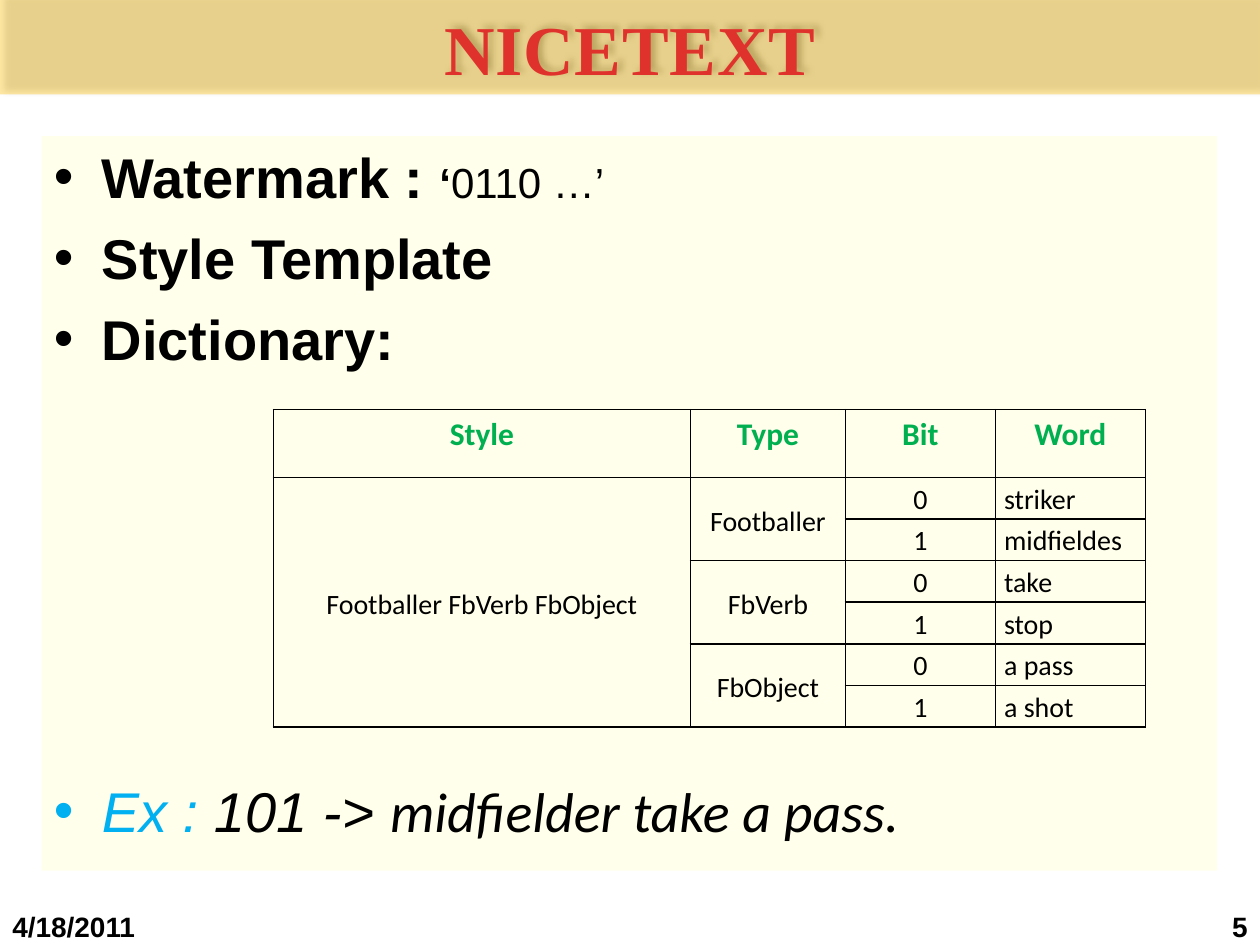
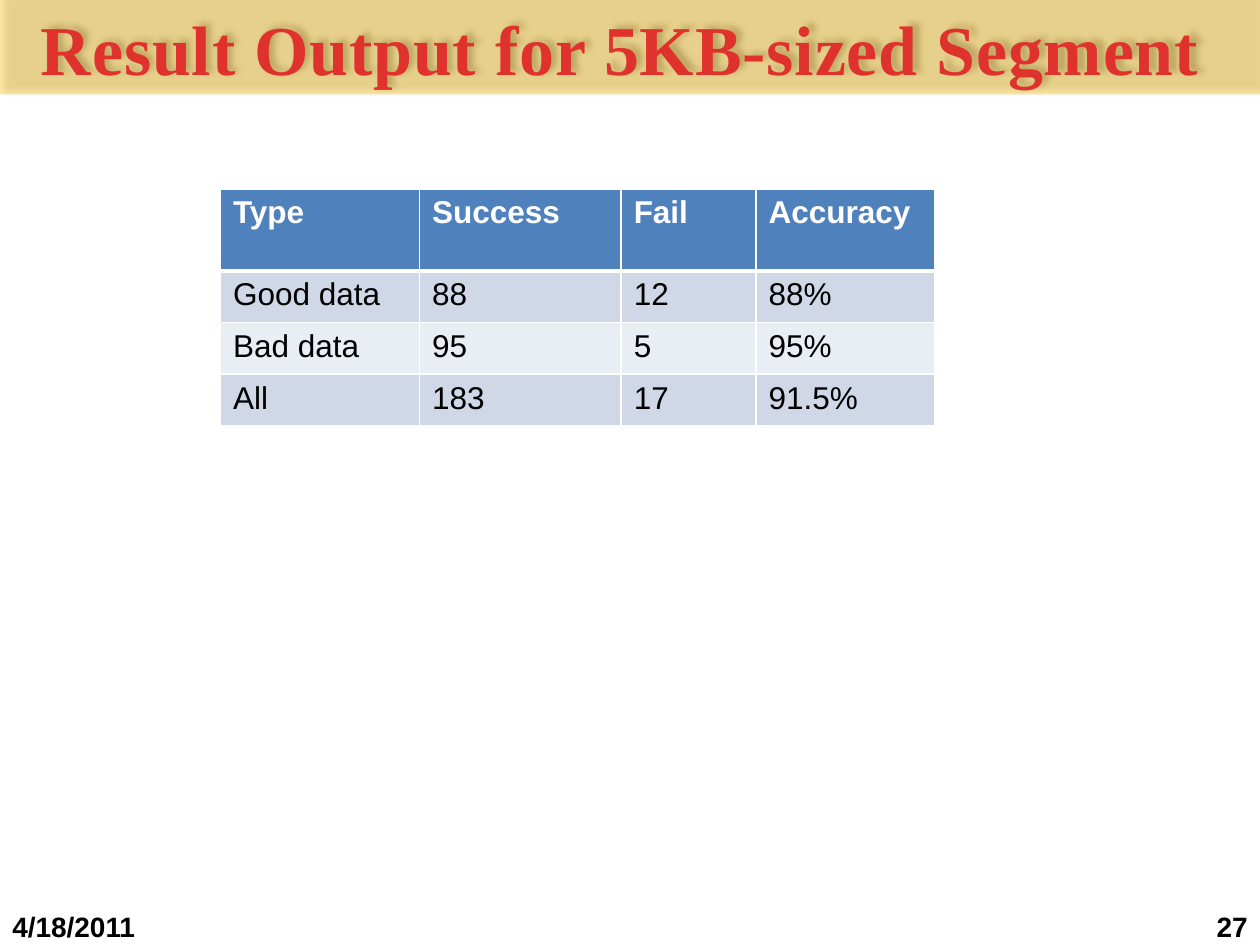
from dataclasses import dataclass
from typing import NamedTuple

from lxml import etree
from pptx import Presentation
from pptx.dml.color import RGBColor
from pptx.enum import shapes, text
from pptx.oxml import ns
from pptx.util import Inches, Pt

BLACK = RGBColor(0x00, 0x00, 0x00)
WHITE = RGBColor(0xFF, 0xFF, 0xFF)
RED = RGBColor(0xE0, 0x32, 0x2D)
GOLD = RGBColor(0xFF, 0xC0, 0x00)
YELLOW = RGBColor(0xFF, 0xFF, 0x00)
GREEN = RGBColor(0x00, 0xB0, 0x50)
SKY = RGBColor(0x00, 0xB0, 0xF0)
BLUE = RGBColor(0x4F, 0x81, 0xBD)
PALE = RGBColor(0xD0, 0xD8, 0xE8)
LIGHT = RGBColor(0xE9, 0xED, 0xF4)

SANS, SERIF, TABLE = "Arial", "Times New Roman", "Calibri"
LEFT, MID, RIGHT = text.PP_ALIGN.LEFT, text.PP_ALIGN.CENTER, text.PP_ALIGN.RIGHT
TOP, CENTRE = text.MSO_ANCHOR.TOP, text.MSO_ANCHOR.MIDDLE
DATE = "4/18/2011"


class Box(NamedTuple):
    left: float
    top: float
    width: float
    height: float

    def emu(self) -> list:
        return [Inches(side) for side in self]


@dataclass
class Face:
    size: float
    color: RGBColor = BLACK
    bold: bool = False
    italic: bool = False
    name: str = SANS

    def set(self, font) -> None:
        font.size, font.name = Pt(self.size), self.name
        font.bold, font.italic = self.bold, self.italic
        font.color.rgb = self.color


class Span(NamedTuple):
    words: str
    face: Face


class Item(NamedTuple):
    spans: list
    before: float = 8


@dataclass
class Grid:
    left: float
    top: float
    cols: list
    rows: list
    cells: list
    line: RGBColor


TITLE = Face(40, RED, True, name=SERIF)
FOOT = Face(16, bold=True)
HEAD = Face(32, bold=True)
SLANT = Face(32, italic=True)

ITEMS = [
    Item([Span("Watermark : ", HEAD), Span("‘", Face(24, bold=True)),
          Span("0110 …’", Face(24))]),
    Item([Span("Style Template", HEAD)]),
    Item([Span("Dictionary:", HEAD)]),
    # The wide gap leaves room for the dictionary table.
    Item([Span("Ex : ", Face(32, SKY, italic=True)), Span("101 -> ", SLANT),
          Span("midfielder take a pass.", Face(32, italic=True, name=TABLE))], 231),
]

WORDS = {
    "Footballer": ["striker", "midfieldes"],
    "FbVerb": ["take", "stop"],
    "FbObject": ["a pass", "a shot"],
}

SCORES = [
    ["Type", "Success", "Fail", "Accuracy"],
    ["Good data", "88", "12", "88%"],
    ["Bad data", "95", "5", "95%"],
    ["All", "183", "17", "91.5%"],
]


def node(parent, tag: str, **attrs):
    return etree.SubElement(parent, ns.qn(tag), {k: str(v) for k, v in attrs.items()})


def panel(slide, box: Box, color: RGBColor, alpha: int):
    """Add a borderless, see-through rectangle."""
    shape = slide.shapes.add_shape(shapes.MSO_SHAPE.RECTANGLE, *box.emu())
    shape.shadow.inherit = False
    shape.fill.solid()
    shape.fill.fore_color.rgb = color
    tint = shape._element.spPr.find(".//" + ns.qn("a:srgbClr"))
    node(tint, "a:alpha", val=alpha * 1000)
    shape.line.fill.background()
    shape.text_frame.word_wrap = True
    return shape


def title(slide, words: str) -> None:
    band = panel(slide, Box(0, 0, 10, 0.75), GOLD, 36)
    effects = band._element.spPr.find(ns.qn("a:effectLst"))
    shade = node(effects, "a:outerShdw", blurRad=Pt(4), dist=Pt(3),
                 dir=315 * 60000, algn="bl", rotWithShape=0)
    node(node(shade, "a:srgbClr", val=BLACK), "a:alpha", val=40000)
    band.text_frame.vertical_anchor = CENTRE
    para = band.text_frame.paragraphs[0]
    para.alignment = MID
    run = para.add_run()
    run.text = words
    TITLE.set(run.font)
    run._r.get_or_add_rPr().set("spc", "50")


def foot(slide, left: float, words: str, align) -> None:
    frame = slide.shapes.add_textbox(*Box(left, 7.17, 2.08, 0.25).emu()).text_frame
    frame.word_wrap = True
    para = frame.paragraphs[0]
    para.text, para.alignment = words, align
    FOOT.set(para.font)


def bullets(slide, items: list) -> None:
    body = panel(slide, Box(0.33, 1.08, 9.33, 5.83), YELLOW, 8)
    frame = body.text_frame
    frame.vertical_anchor = TOP
    for i, item in enumerate(items):
        para = frame.add_paragraph() if i else frame.paragraphs[0]
        para.alignment = LEFT
        props = para._p.get_or_add_pPr()
        props.set("marL", str(Inches(0.38)))
        props.set("indent", str(Inches(-0.38)))
        node(props, "a:buFont", typeface=SANS)
        node(props, "a:buChar", char="•")
        para.space_before = Pt(item.before)
        for span in item.spans:
            run = para.add_run()
            run.text = span.words
            span.face.set(run.font)


def border(cell, color: RGBColor, base: float) -> None:
    """Rule all four sides; base is the width of the bottom line."""
    props = cell._tc.get_or_add_tcPr()
    for side in "LRTB":
        line = node(props, f"a:ln{side}", w=Pt(base if side == "B" else 1))
        node(node(line, "a:solidFill"), "a:srgbClr", val=color)


def table(slide, grid: Grid, base: float = 1):
    """Add a ruled table; base is the width of the line below its header."""
    box = Box(grid.left, grid.top, sum(grid.cols), sum(grid.rows))
    made = slide.shapes.add_table(len(grid.rows), len(grid.cols), *box.emu()).table
    for col, width in zip(made.columns, grid.cols):
        col.width = Inches(width)
    for r, (row, height) in enumerate(zip(made.rows, grid.rows)):
        row.height = Inches(height)
        for c, cell in enumerate(row.cells):
            cell.text = grid.cells[r][c]
            border(cell, grid.line, 1 if r else base)
    # The first data row shares its top line with the header.
    for cell in made.rows[1].cells:
        cell._tc.tcPr.find(ns.qn("a:lnT")).set("w", str(Pt(base)))
    return made


def lexicon(slide) -> None:
    cells = [["Style", "Type", "Bit", "Word"]]
    for kind, words in WORDS.items():
        for bit, word in enumerate(words):
            cells.append(["", "" if bit else kind, str(bit), word])
    cells[1][0] = " ".join(WORDS)
    grid = Grid(2.17, 3.25, [3.31, 1.23, 1.19, 1.19], [0.54] + [0.33] * 6, cells, BLACK)
    made = table(slide, grid)
    for r, row in enumerate(made.rows):
        for c, cell in enumerate(row.cells):
            cell.fill.background()
            cell.margin_left = cell.margin_right = Inches(0.07)
            cell.margin_top = cell.margin_bottom = 0
            cell.vertical_anchor = CENTRE if r and c < 2 else TOP
            para = cell.text_frame.paragraphs[0]
            para.alignment = LEFT if r and c == 3 else MID
            para.line_spacing = 1.15
            face = Face(16, name=TABLE) if r else Face(18, GREEN, True, name=TABLE)
            face.set(para.font)
    made.cell(1, 0).merge(made.cell(6, 0))
    for top in range(1, 7, 2):
        made.cell(top, 1).merge(made.cell(top + 1, 1))


def scores(slide) -> None:
    grid = Grid(1.75, 1.5, [1.58, 1.6, 1.07, 1.42], [0.65] + [0.41] * 3, SCORES, WHITE)
    for r, row in enumerate(table(slide, grid, base=3).rows):
        for cell in row.cells:
            cell.fill.solid()
            cell.fill.fore_color.rgb = (PALE if r % 2 else LIGHT) if r else BLUE
            face = Face(18) if r else Face(18, WHITE, True)
            face.set(cell.text_frame.paragraphs[0].font)


def page(deck, words: str, number: int):
    """Add a blank slide with the shared band and footers."""
    slide = deck.slides.add_slide(deck.slide_layouts[6])
    title(slide, words)
    foot(slide, 0, DATE, LEFT)
    foot(slide, 7.92, str(number), RIGHT)
    return slide


def main() -> None:
    deck = Presentation()
    deck.slide_width, deck.slide_height = Inches(10), Inches(7.5)
    first = page(deck, "NICETEXT", 5)
    bullets(first, ITEMS)
    lexicon(first)
    scores(page(deck, "Result Output for 5KB-sized Segment ", 27))
    deck.save("out.pptx")


if __name__ == "__main__":
    main()
